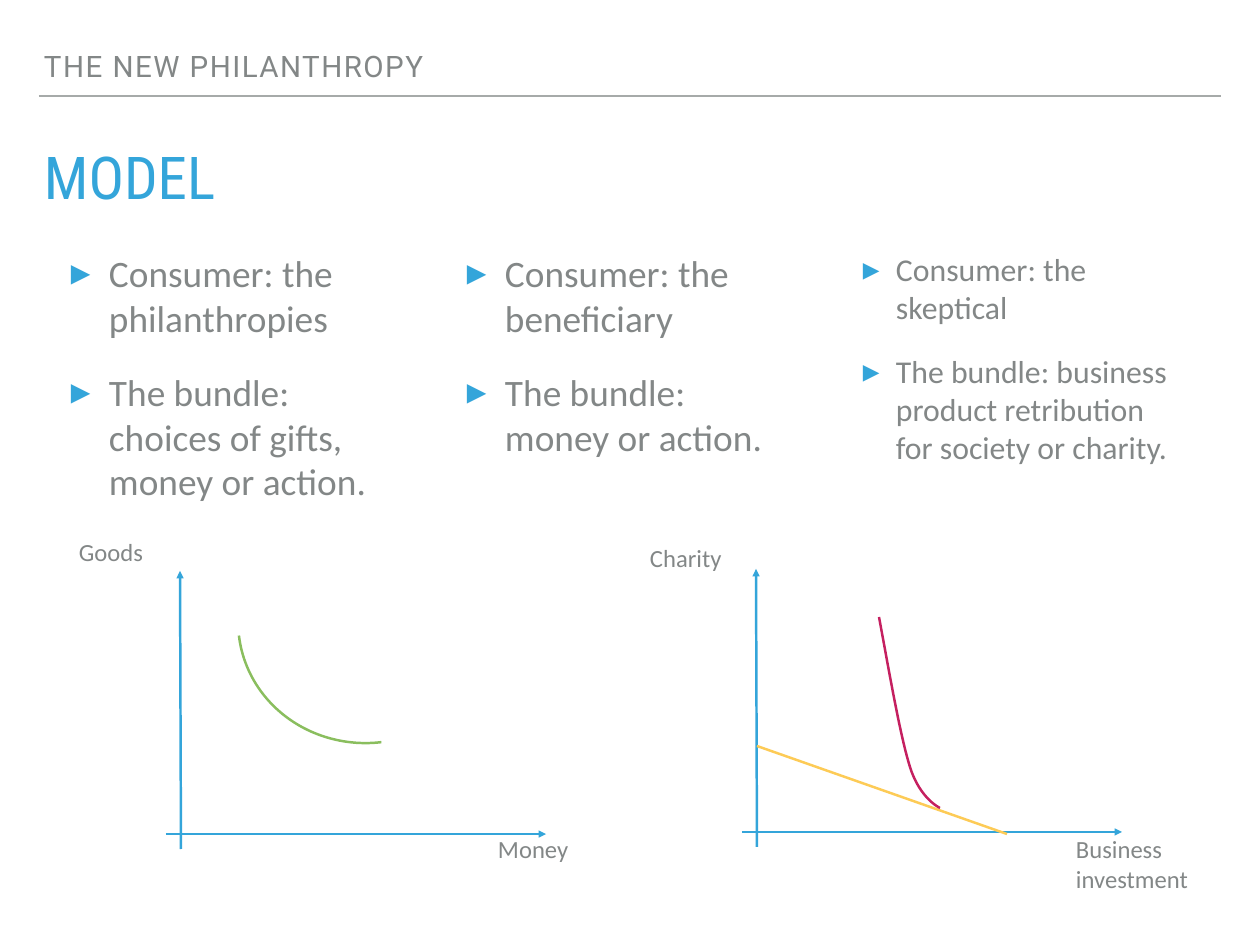
from dataclasses import dataclass

from lxml import etree
from pptx import Presentation
from pptx.dml.color import RGBColor
from pptx.enum.shapes import MSO_CONNECTOR, MSO_SHAPE
from pptx.enum.text import MSO_ANCHOR, MSO_AUTO_SIZE, PP_ALIGN
from pptx.oxml.ns import qn
from pptx.util import Pt

STRAIGHT = MSO_CONNECTOR.STRAIGHT
ARC = MSO_SHAPE.ARC
TOP, MIDDLE, BOTTOM = MSO_ANCHOR.TOP, MSO_ANCHOR.MIDDLE, MSO_ANCHOR.BOTTOM
NO_AUTOFIT = MSO_AUTO_SIZE.NONE
LEFT = PP_ALIGN.LEFT
PX = 10320


@dataclass
class Theme:
    grey: str = "838787"
    rule: str = "A6AAA9"
    blue: str = "34A5DA"
    green: str = "8ABE5E"
    yellow: str = "FDCB56"
    crimson: str = "C52060"
    header_size: float = 24
    title_size: float = 48
    list_size: float = 30.3
    small_list_size: float = 25.8
    label_size: float = 20
    line_width: float = 2


theme = Theme()


def write(holder, box, paragraphs, font, size, color, anchor=TOP):
    holder.left, holder.top, holder.width, holder.height = [v * PX for v in box]
    frame = holder.text_frame
    frame.text = "\n".join(paragraphs)
    frame.word_wrap = True
    frame.auto_size = NO_AUTOFIT
    frame.vertical_anchor = anchor
    frame.margin_left = frame.margin_right = 5 * PX
    frame.margin_top = frame.margin_bottom = 5 * PX
    for paragraph in frame.paragraphs:
        paragraph.alignment = LEFT
        for run in paragraph.runs:
            run.font.name = font
            run.font.size = Pt(size)
            run.font.bold = False
            run.font.color.rgb = RGBColor.from_string(color)
    return frame.paragraphs


def draw_line(x1, y1, x2, y2, color, arrow=False):
    stroke = slide.shapes.add_connector(STRAIGHT, x1 * PX, y1 * PX, x2 * PX, y2 * PX)
    stroke.line.color.rgb = RGBColor.from_string(color)
    stroke.line.width = Pt(theme.line_width)
    if arrow:
        etree.SubElement(stroke.line._get_or_add_ln(), qn("a:tailEnd"), type="triangle")
    etree.SubElement(stroke._element.spPr, qn("a:effectLst"))


deck = Presentation()
deck.slide_width, deck.slide_height = 1260 * PX, 945 * PX
slide = deck.slides.add_slide(deck.slide_layouts[4])
title, header, *lists = slide.placeholders

draw_line(39, 96, 1221, 96, theme.rule)

header_line = write(header, (39, 44, 1083, 44), ["THE NEW PHILANTHROPY"],
                    "Roboto", theme.header_size, theme.grey, BOTTOM)[0]
header_line.line_spacing = 0.8
header_line.space_before = Pt(0)
header_line.runs[0].font._element.set("spc", "120")

title_line = write(title, (39, 149, 1181, 70), ["MODEL"],
                   "Roboto Condensed", theme.title_size, theme.blue)[0]
title_line.line_spacing = 0.8

columns = [
    (338, theme.list_size, 38, 24,
     ["Consumer: the philanthropies", "The bundle: choices of gifts, money or action."]),
    (338, theme.list_size, 38, 24,
     ["Consumer: the beneficiary", "The bundle: money or action."]),
    (322, theme.small_list_size, 33, 21,
     ["Consumer: the skeptical",
      "The bundle: business product retribution for society or charity."]),
]
for number, (holder, column) in enumerate(zip(lists, columns)):
    width, size, indent, gap, points = column
    box = (66 + 396 * number, 245, width, 299)
    for paragraph in write(holder, box, points, "Calibri", size, theme.grey):
        paragraph.space_before = Pt(gap)
        properties = paragraph._p.get_or_add_pPr()
        properties.set("marL", str(indent * PX))
        properties.set("indent", str(-indent * PX))
        bullet_color = etree.SubElement(properties, qn("a:buClr"))
        etree.SubElement(bullet_color, qn("a:srgbClr"), val=theme.blue)
        etree.SubElement(properties, qn("a:buSzPct"), val="105000")
        etree.SubElement(properties, qn("a:buChar"), char="▸")

for x, y in [(166, 834), (742, 832)]:
    draw_line(x, y, x + 380, y, theme.blue, arrow=True)
    draw_line(x + 15, y + 15, x + 14, y - 263, theme.blue, arrow=True)

axis_labels = [
    ("Money", (493, 814, 105, 70)),
    ("Goods", (74, 517, 105, 70)),
    ("Business investment", (1071, 814, 189, 99)),
    ("Charity", (645, 523, 105, 70)),
]
for label, box in axis_labels:
    write(slide.shapes.add_textbox(0, 0, 0, 0), box, [label],
          "Calibri", theme.label_size, theme.grey, MIDDLE)

draw_line(757, 746, 1007, 834, theme.yellow)

goods_curve = slide.shapes.add_shape(ARC, 238 * PX, 498 * PX, 258 * PX, 245 * PX)
goods_curve.rotation = 173.3

bends = [
    [(879, 617), (890, 676), (900, 735), (910, 767)],
    [(910, 767), (920, 799), (940, 808), (940, 808)],
]
curve_points = []
for bend in bends:
    for step in range(21):
        t = step / 20
        weights = ((1 - t) ** 3, 3 * t * (1 - t) ** 2, 3 * t ** 2 * (1 - t), t ** 3)
        curve_points.append([sum(w * p[axis] for w, p in zip(weights, bend)) * PX
                             for axis in (0, 1)])
builder = slide.shapes.build_freeform(*curve_points[0])
builder.add_line_segments(curve_points[1:], close=False)
charity_curve = builder.convert_to_shape()

for curve, color in [(goods_curve, theme.green), (charity_curve, theme.crimson)]:
    curve.fill.background()
    curve.line.color.rgb = RGBColor.from_string(color)
    curve.line.width = Pt(theme.line_width)
    curve.shadow.inherit = False

deck.save("out.pptx")
